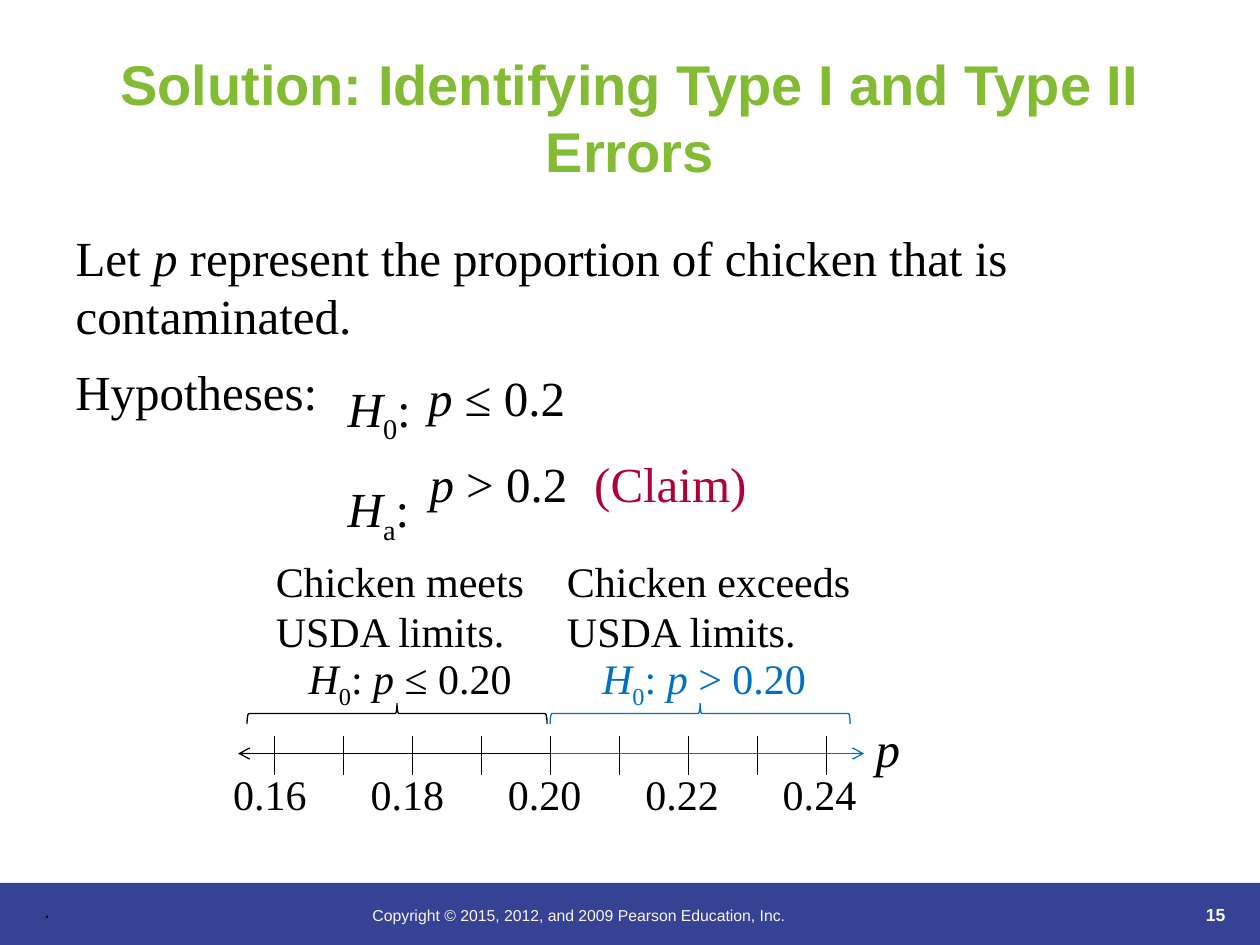
import pptx
import pptx.dml.color
import pptx.enum.shapes
import pptx.enum.text
import pptx.oxml.ns
import pptx.util
from lxml import etree
from pptx.util import Cm

COLORS = {
    "text": "000000",
    "title": "83BB35",
    "claim": "AE0337",
    "alternative": "0070C0",
    "bar": "364395",
    "footer": "FBF5EA",
}
SERIF, SANS = "Times New Roman", "Arial"
ALIGN = pptx.enum.text.PP_ALIGN
ANCHOR = pptx.enum.text.MSO_ANCHOR


def rgb(name):
    """Return the named colour."""
    return pptx.dml.color.RGBColor.from_string(COLORS[name])


def add_xml(parent, tag, **attributes):
    """Append a DrawingML element to its parent."""
    return etree.SubElement(parent, pptx.oxml.ns.qn(tag), **attributes)


def place(shape, left, top, width, height):
    """Move and size a shape in centimetres."""
    shape.left, shape.top = Cm(left), Cm(top)
    shape.width, shape.height = Cm(width), Cm(height)


def write(paragraph, parts, size, color="text", font=SERIF, bold=False, align=None):
    """Fill a paragraph with (text, style) parts, where i is italic and sub is subscript."""
    paragraph.alignment = align
    paragraph.font.name = font
    paragraph.font.size = pptx.util.Pt(size)
    paragraph.font.bold = bold
    paragraph.font.color.rgb = rgb(color)
    for text, style in parts:
        run = paragraph.add_run()
        run.text = text
        if style == "i":
            run.font.italic = True
        elif style == "sub":
            run._r.get_or_add_rPr().set("baseline", "-25000")


def add_label(slide, box, *lines, size=28, anchor=ANCHOR.TOP, spacing=None, **style):
    """Add a text box with one paragraph for each line."""
    frame = slide.shapes.add_textbox(*map(Cm, box)).text_frame
    frame.word_wrap = True
    frame.vertical_anchor = anchor
    for index, parts in enumerate(lines):
        paragraph = frame.add_paragraph() if index else frame.paragraphs[0]
        paragraph.line_spacing = spacing
        write(paragraph, parts, size, **style)


def add_line(slide, start, end, color="text", arrow=False):
    """Add a thin straight line, with an arrowhead at its end if asked."""
    line = slide.shapes.add_connector(
        pptx.enum.shapes.MSO_CONNECTOR.STRAIGHT, *map(Cm, start + end))
    line.line.color.rgb = rgb(color)
    line.line.width = pptx.util.Pt(0.75)
    if arrow:
        add_xml(line.line._get_or_add_ln(), "a:tailEnd", type="arrow")
    add_xml(line._element.spPr, "a:effectLst")


def add_brace(slide, left, top, color):
    """Add a horizontal brace that points up."""
    length, depth = 6.05, 0.41
    brace = slide.shapes.add_shape(
        pptx.enum.shapes.MSO_SHAPE.RIGHT_BRACE,
        Cm(left + (length - depth) / 2), Cm(top + (depth - length) / 2),
        Cm(depth), Cm(length))
    brace.rotation = 270
    brace.shadow.inherit = False
    brace.fill.background()
    brace.line.color.rgb = rgb(color)
    brace.line.width = pptx.util.Pt(0.75)


def add_heading(slide):
    """Fill the title and the opening statement."""
    title, statement = slide.shapes.title, slide.placeholders[1]
    place(title, 1.27, 0.76, 22.86, 3.18)
    place(statement, 1.27, 4.45, 22.86, 3.12)
    for placeholder in (title, statement):
        placeholder.text_frame.auto_size = pptx.enum.text.MSO_AUTO_SIZE.NONE
    title.text_frame.vertical_anchor = ANCHOR.MIDDLE
    write(title.text_frame.paragraphs[0],
          [("Solution: Identifying Type I and Type II Errors", "")], 32,
          color="title", font=SANS, bold=True, align=ALIGN.CENTER)

    sentence = statement.text_frame.paragraphs[0]
    sentence.space_before = pptx.util.Pt(0)
    properties = sentence._p.get_or_add_pPr()
    properties.set("marL", "0")
    properties.set("indent", "0")
    add_xml(properties, "a:buNone")
    write(sentence, [("Let ", ""), ("p", "i"),
                     (" represent the proportion of chicken that is contaminated.", "")], 28)


def add_hypotheses(slide):
    """Add the null and alternative hypotheses."""
    add_label(slide, (1.27, 7.16, 5.49, 1.45), [("Hypotheses:", "")])
    add_label(slide, (6.76, 6.83, 2.11, 4.32),
              *([("H", "i"), (index, "sub"), (":", "")] for index in "0a"), spacing=1.5)
    add_label(slide, (8.38, 7.29, 3.86, 1.45), [("p", "i"), (" ≤ 0.2", "")])
    add_label(slide, (8.41, 9.02, 6.63, 1.45), [("p", "i"), (" > 0.2", "")])
    add_label(slide, (11.73, 9.02, 7.85, 1.45), [("(Claim)", "")], color="claim")


def add_number_line(slide):
    """Add the axis with its ticks, values and two marked regions."""
    axis, middle = 15.19, 11.1
    add_line(slide, (middle, axis), (4.8, axis), arrow=True)
    add_line(slide, (middle, axis), (17.42, axis), "alternative", arrow=True)
    for tick in range(9):
        x = 5.54 + 1.39 * tick
        add_line(slide, (x, 14.83), (x, 15.62))
    for step in range(5):
        value = f"{0.16 + 0.02 * step:.2f}"
        add_label(slide, (4.45 + 2.77 * step, 15.37, 2.64, 1.27), [(value, "")], size=24)
    add_label(slide, (17.4, 14.35, 0.97, 1.45), [("p", "i")])

    regions = [
        ("Chicken meets USDA limits.", " ≤ 0.20", "text", 5.31, 5.77, 5.97, 4.98),
        ("Chicken exceeds USDA limits.", " > 0.20", "alternative", 11.18, 6.38, 11.89, 11.09),
    ]
    for meaning, bound, color, left, width, formula_left, brace_left in regions:
        add_label(slide, (left, 11.07, width, 2.29), [(meaning, "")], size=24)
        add_label(slide, (formula_left, 13.03, 5.64, 1.42),
                  [("H", "i"), ("0", "sub"), (": ", ""), ("p", "i"), (bound, "")],
                  size=24, color=color)
        add_brace(slide, brace_left, 14.18, color)


def add_footer(slide):
    """Add the bottom bar with the copyright line and page number."""
    bar = slide.shapes.add_shape(
        pptx.enum.shapes.MSO_SHAPE.RECTANGLE, Cm(0), Cm(17.8), Cm(25.4), Cm(1.25))
    bar.shadow.inherit = False
    bar.fill.solid()
    bar.fill.fore_color.rgb = rgb("bar")
    bar.line.fill.background()
    add_label(slide, (7.26, 18.14, 12.5, 1.27),
              [("Copyright © 2015, 2012, and 2009 Pearson Education, Inc.", "")],
              size=9, color="footer", font=SANS)
    add_label(slide, (22.61, 17.5, 2.34, 1.27), [("15", "")], size=10, color="footer",
              font=SANS, bold=True, align=ALIGN.RIGHT, anchor=ANCHOR.BOTTOM)
    add_label(slide, (0.64, 17.83, 12.07, 1.02), [(".", "")], size=12, font=SANS,
              anchor=ANCHOR.MIDDLE)


def main():
    """Build and save the slide."""
    deck = pptx.Presentation()
    deck.slide_width, deck.slide_height = Cm(25.4), Cm(19.05)
    slide = deck.slides.add_slide(deck.slide_layouts[1])
    add_heading(slide)
    add_hypotheses(slide)
    add_number_line(slide)
    add_footer(slide)
    deck.save("out.pptx")


if __name__ == "__main__":
    main()
